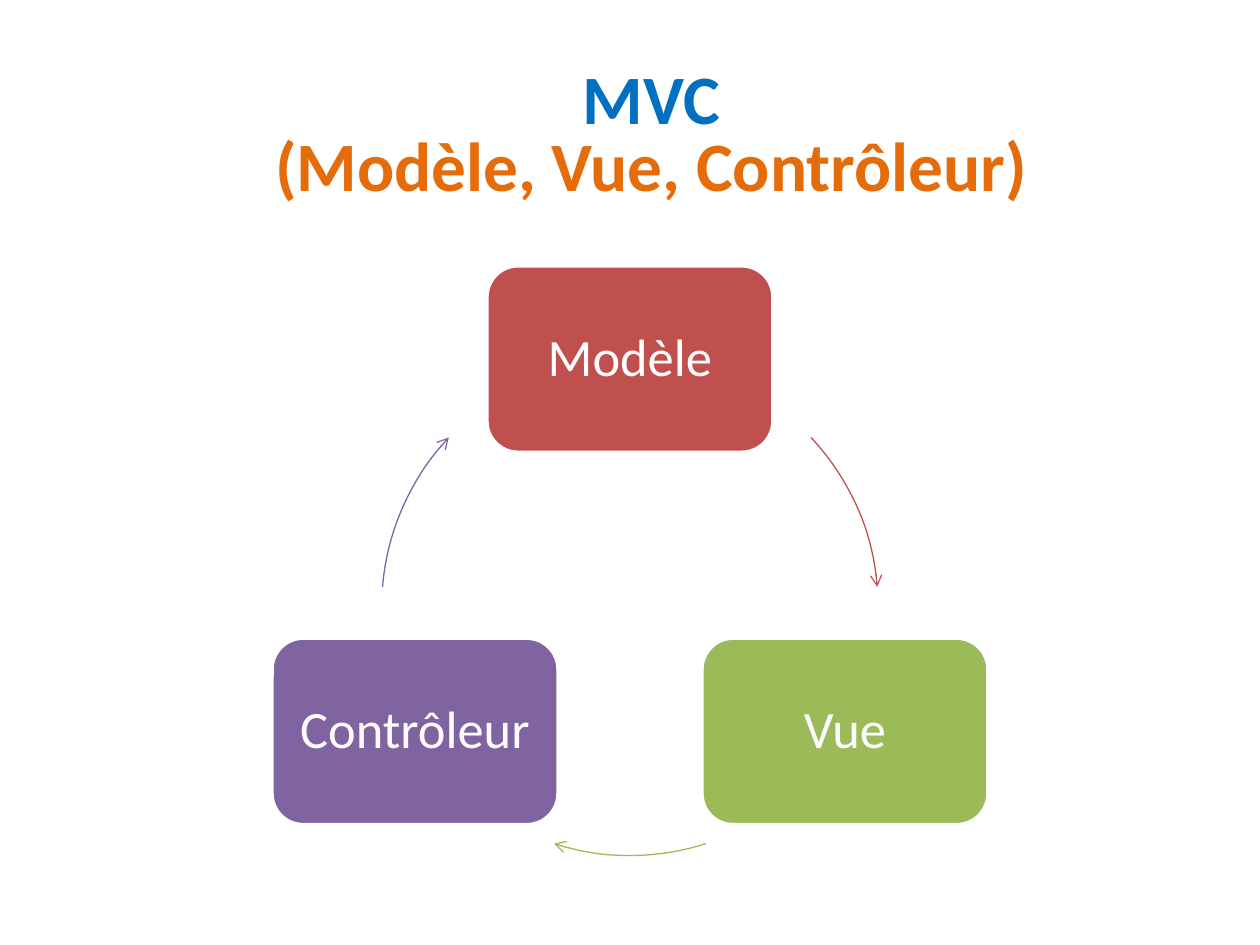
from math import cos, radians, sin

from pptx import Presentation
from pptx.dml.color import RGBColor
from pptx.enum.shapes import MSO_SHAPE
from pptx.enum.text import MSO_ANCHOR, PP_ALIGN
from pptx.oxml.ns import qn
from pptx.util import Inches, Pt
from lxml import etree

BOX, ARC = MSO_SHAPE.ROUNDED_RECTANGLE, MSO_SHAPE.ARC
MIDDLE, CENTER = MSO_ANCHOR.MIDDLE, PP_ALIGN.CENTER

THEME = {
    "font": "Calibri", "white": "FFFFFF",
    "title": 39.6, "label": 30, "edge": 2, "arrow": 0.75,
}
TITLE = [("MVC", "0070C0"), ("(Modèle, Vue, Contrôleur)", "E46C0A")]
# label, colour, start and end of the arrow that leaves it (degrees from east)
STEPS = [
    ("Modèle", "C0504D", 316.85, 355.3),
    ("Vue", "9BBB59", 72.2, 107.8),
    ("Contrôleur", "8064A2", 184.7, 223.15),
]
MID_X, MID_Y, RADIUS = 5, 4.82, 1.97
BOX_W, BOX_H, INSET = 2.27, 1.48, 0.12


def rgb(code):
    return RGBColor.from_string(code)


def place(slide, kind, x, y, w, h):
    """Add a shape centred on x, y."""
    shape = slide.shapes.add_shape(
        kind, Inches(x - w / 2), Inches(y - h / 2), Inches(w), Inches(h))
    shape.shadow.inherit = False
    return shape


def style(par, size, spacing):
    par.alignment = CENTER
    par.line_spacing = spacing
    par.font.name = THEME["font"]
    par.font.size = Pt(size)


def add_box(slide, label, color, angle):
    x = MID_X + RADIUS * cos(radians(angle))
    y = MID_Y + RADIUS * sin(radians(angle))
    box = place(slide, BOX, x, y, BOX_W, BOX_H)
    box.fill.solid()
    box.fill.fore_color.rgb = rgb(color)
    box.line.color.rgb = rgb(THEME["white"])
    box.line.width = Pt(THEME["edge"])
    frame = box.text_frame
    frame.word_wrap = True
    frame.vertical_anchor = MIDDLE
    frame.margin_left = frame.margin_right = Inches(INSET)
    frame.margin_top = frame.margin_bottom = Inches(INSET)
    par = frame.paragraphs[0]
    par.text = label
    style(par, THEME["label"], 0.9)
    par.font.color.rgb = rgb(THEME["white"])


def add_arrow(slide, color, start, end):
    arc = place(slide, ARC, MID_X, MID_Y, 2 * RADIUS, 2 * RADIUS)
    # An adjustment of 0.6 is one degree
    arc.adjustments[0] = start * 0.6
    arc.adjustments[1] = end * 0.6
    arc.fill.background()
    arc.line.color.rgb = rgb(color)
    arc.line.width = Pt(THEME["arrow"])
    line = arc.line._get_or_add_ln()
    etree.SubElement(line, qn("a:tailEnd"), type="arrow")


def add_title(slide):
    area = slide.shapes.add_textbox(
        Inches(0.67), Inches(0.47), Inches(9), Inches(1.25))
    frame = area.text_frame
    frame.word_wrap = True
    frame.vertical_anchor = MIDDLE
    par = frame.paragraphs[0]
    style(par, THEME["title"], 0.8)
    par.font.bold = True
    for i, (text, color) in enumerate(TITLE):
        if i:
            par.add_line_break()
        run = par.add_run()
        run.text = text
        run.font.color.rgb = rgb(color)


def main():
    deck = Presentation()
    deck.slide_width, deck.slide_height = Inches(10), Inches(7.5)
    slide = deck.slides.add_slide(deck.slide_layouts[6])
    for i, (label, color, start, end) in enumerate(STEPS):
        add_box(slide, label, color, -90 + i * 360 / len(STEPS))
        add_arrow(slide, color, start, end)
    add_title(slide)
    deck.save("out.pptx")


if __name__ == "__main__":
    main()
